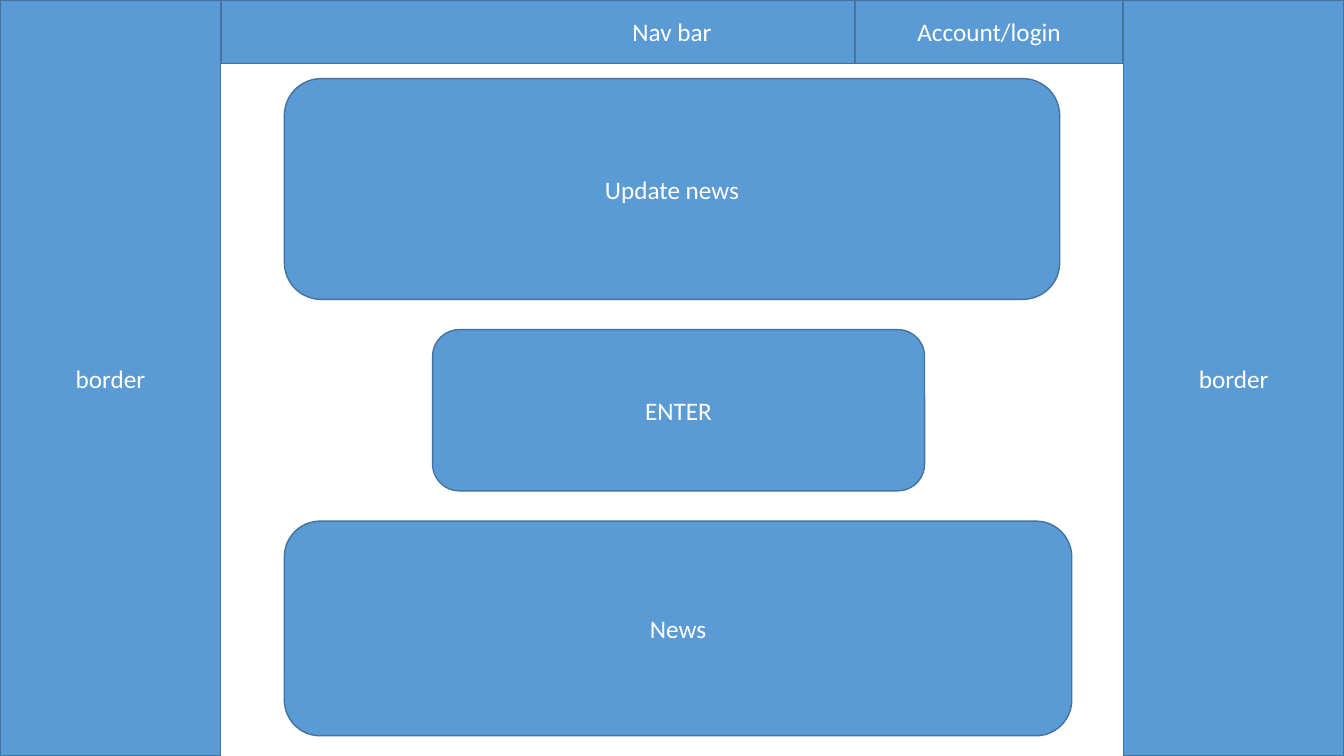
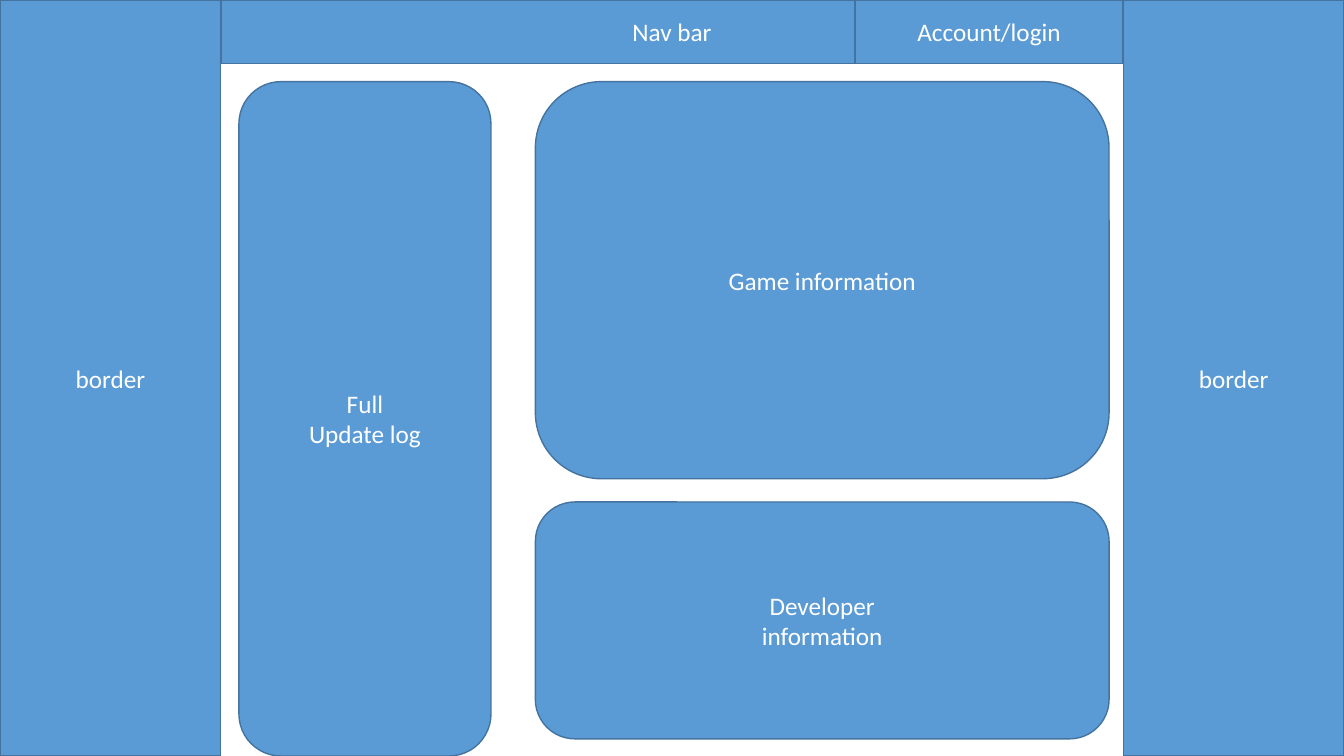
from pptx import Presentation
from pptx import util as u
from pptx.dml import color
from pptx.enum import shapes, text

COLORS = {"fill": "5B9BD5", "line": "43739E", "text": "FFFFFF"}
FONT = "Calibri"
WIDE, HIGH = 13.33, 7.5
SIDE, BAR, LOGIN = 2.19, 0.63, 2.66
RECT = shapes.MSO_SHAPE.RECTANGLE
ROUND = shapes.MSO_SHAPE.ROUNDED_RECTANGLE


def tint(name):
    return color.RGBColor.from_string(COLORS[name])


def add_box(slide, kind, label, left, top, width, height):
    box = slide.shapes.add_shape(kind, *map(u.Inches, (left, top, width, height)))
    box.shadow.inherit = False
    box.fill.solid()
    box.fill.fore_color.rgb = tint("fill")
    box.line.color.rgb = tint("line")
    box.line.width = u.Pt(1)
    frame = box.text_frame
    frame.word_wrap = True
    frame.vertical_anchor = text.MSO_ANCHOR.MIDDLE
    frame.text = label
    for para in frame.paragraphs:
        para.alignment = text.PP_ALIGN.CENTER
        for run in para.runs:
            run.font.name = FONT
            run.font.size = u.Pt(18)
            run.font.color.rgb = tint("text")


def add_page(deck, panels):
    slide = deck.slides.add_slide(deck.slide_layouts[6])
    right = WIDE - SIDE
    for left in (0, right):
        add_box(slide, RECT, "border", left, 0, SIDE, HIGH)
    add_box(slide, RECT, "Nav bar", SIDE, 0, right - SIDE, BAR)
    add_box(slide, RECT, "Account/login", right - LOGIN, 0, LOGIN, BAR)
    for panel in panels:
        add_box(slide, ROUND, *panel)


def main():
    deck = Presentation()
    deck.slide_width, deck.slide_height = u.Inches(WIDE), u.Inches(HIGH)
    add_page(deck, [
        ("ENTER", 4.29, 3.27, 4.88, 1.6),
        ("Update news", 2.82, 0.78, 7.69, 2.19),
        ("News", 2.82, 5.17, 7.81, 2.13),
    ])
    top, left, width = 0.81, 5.31, 5.69
    add_page(deck, [
        ("Game information", left, top, width, 3.94),
        ("Full\nUpdate log", 2.37, top, 2.5, HIGH - top),
        ("Developer\ninformation", left, 4.98, width, 2.35),
    ])
    deck.save("out.pptx")


main()
